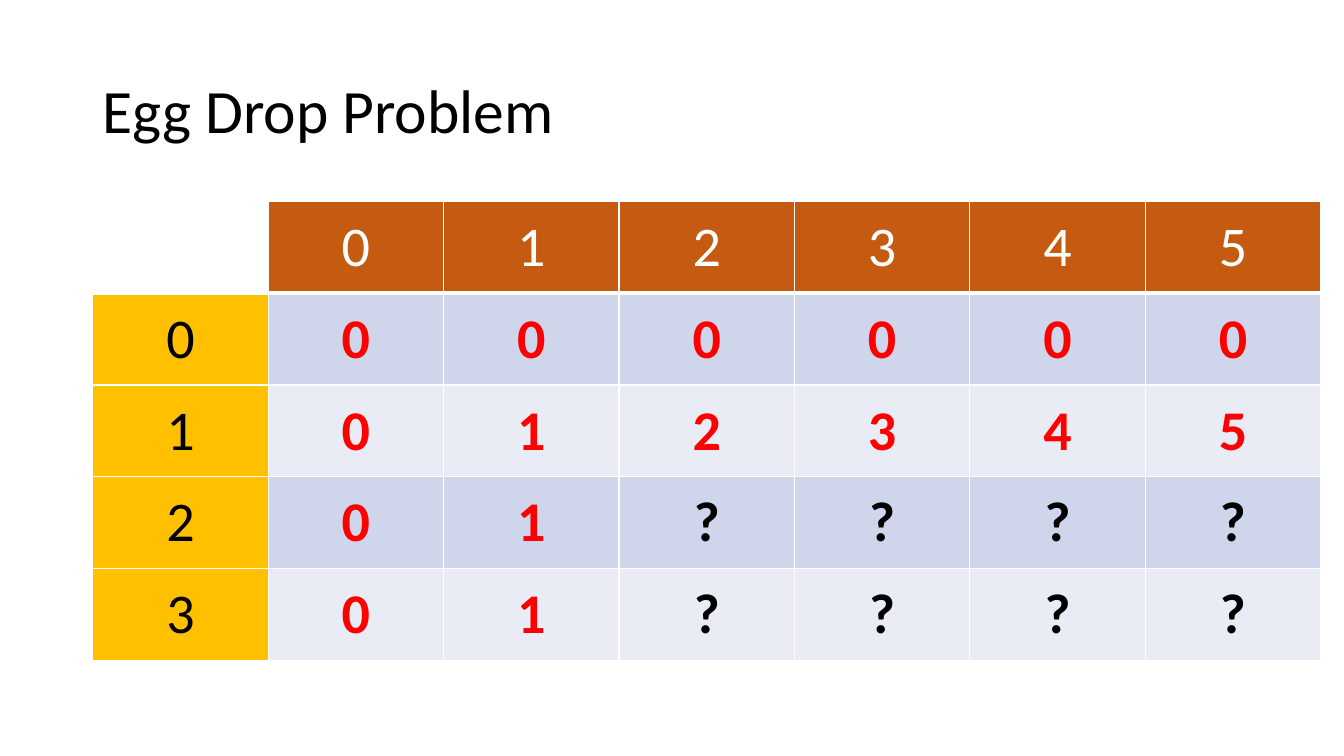
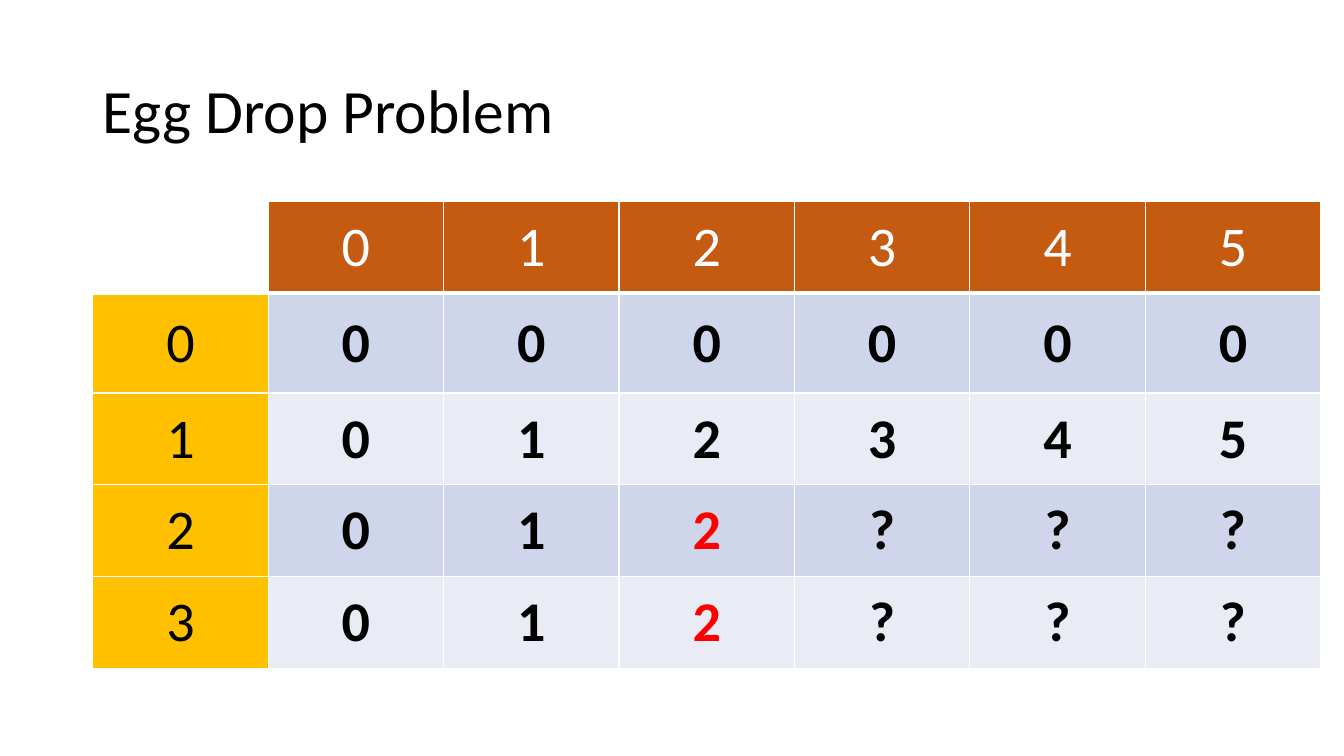
from lxml.etree import SubElement
from pptx import Presentation
from pptx.dml.color import RGBColor
from pptx.enum.text import MSO_ANCHOR, MSO_AUTO_SIZE, PP_ALIGN
from pptx.oxml.ns import qn
from pptx.util import Inches, Pt

TITLE = "Egg Drop Problem"
FLOORS = ["0", "1", "2", "3", "4", "5"]
EGGS = ["0", "1", "2", "3"]
# Each step: the results, one string per egg count, and the row heights.
STEPS = [
    (["000000", "012345", "01????", "01????"], [0.91, 0.91, 0.91, 0.91, 0.91]),
    (["000000", "012345", "012???", "012???"], [0.91, 0.99, 0.91, 0.91, 0.91]),
]

FONT = "Calibri"
BLACK, WHITE, RED = "000000", "FFFFFF", "FF0000"
ORANGE, GOLD = "C55A11", "FFC000"
BANDS = ["CFD5EA", "E9EBF5"]
LEFT, TABLE_TOP, COLUMN_WIDTH = 0.92, 2, 1.74
THIN, THICK = 1, 3


def rgb(value):
    return RGBColor.from_string(value)


def add_text(para, text, size, color, bold=False):
    span = para.add_run()
    span.text = text
    font = span.font
    font.name, font.size, font.bold = FONT, Pt(size), bold
    font.color.rgb = rgb(color)


def add_title(page):
    title = page.shapes.title
    title.left, title.top = Inches(LEFT), Inches(0.4)
    title.width, title.height = Inches(11.5), Inches(1.45)
    frame = title.text_frame
    frame.auto_size = MSO_AUTO_SIZE.NONE
    frame.vertical_anchor = MSO_ANCHOR.MIDDLE
    para = frame.paragraphs[0]
    para.alignment = PP_ALIGN.LEFT
    para.line_spacing = 0.9
    add_text(para, TITLE, 44, BLACK)


def set_borders(cell, top, bottom):
    """Draw white borders; must run before the cell is filled."""
    properties = cell._tc.get_or_add_tcPr()
    for side, width in (("L", THIN), ("R", THIN), ("T", top), ("B", bottom)):
        line = SubElement(properties, qn(f"a:ln{side}"), w=str(Pt(width)))
        SubElement(SubElement(line, qn("a:solidFill")), qn("a:srgbClr"), val=WHITE)


def format_cell(cell, row, text, fill, color=BLACK, bold=False):
    set_borders(cell, THICK if row == 1 else THIN, THICK if row == 0 else THIN)
    cell.fill.solid()
    cell.fill.fore_color.rgb = rgb(fill)
    cell.vertical_anchor = MSO_ANCHOR.MIDDLE
    para = cell.text_frame.paragraphs[0]
    para.alignment = PP_ALIGN.CENTER
    if text:
        add_text(para, text, 40, color, bold)


def add_results(page, results, known, heights):
    """Add the egg-by-floor table, with results not yet known in red."""
    columns = len(FLOORS) + 1
    table = page.shapes.add_table(
        len(heights), columns, Inches(LEFT), Inches(TABLE_TOP),
        Inches(COLUMN_WIDTH * columns), Inches(sum(heights))).table
    for column in table.columns:
        column.width = Inches(COLUMN_WIDTH)
    for row, height in zip(table.rows, heights):
        row.height = Inches(height)

    format_cell(table.cell(0, 0), 0, "", WHITE)
    for column, floor in enumerate(FLOORS, 1):
        format_cell(table.cell(0, column), 0, floor, ORANGE, WHITE)
    for row, (eggs, values, before) in enumerate(zip(EGGS, results, known), 1):
        format_cell(table.cell(row, 0), row, eggs, GOLD)
        band = BANDS[(row - 1) % 2]
        for column, (value, old) in enumerate(zip(values, before), 1):
            color = BLACK if value == old else RED
            format_cell(table.cell(row, column), row, value, band, color, True)


def main():
    deck = Presentation()
    deck.slide_width, deck.slide_height = Inches(13.33), Inches(7.5)
    title_only = deck.slide_layouts[5]
    known = ["?" * len(FLOORS)] * len(EGGS)
    for results, heights in STEPS:
        page = deck.slides.add_slide(title_only)
        add_title(page)
        add_results(page, results, known, heights)
        known = results
    deck.save("out.pptx")


if __name__ == "__main__":
    main()
